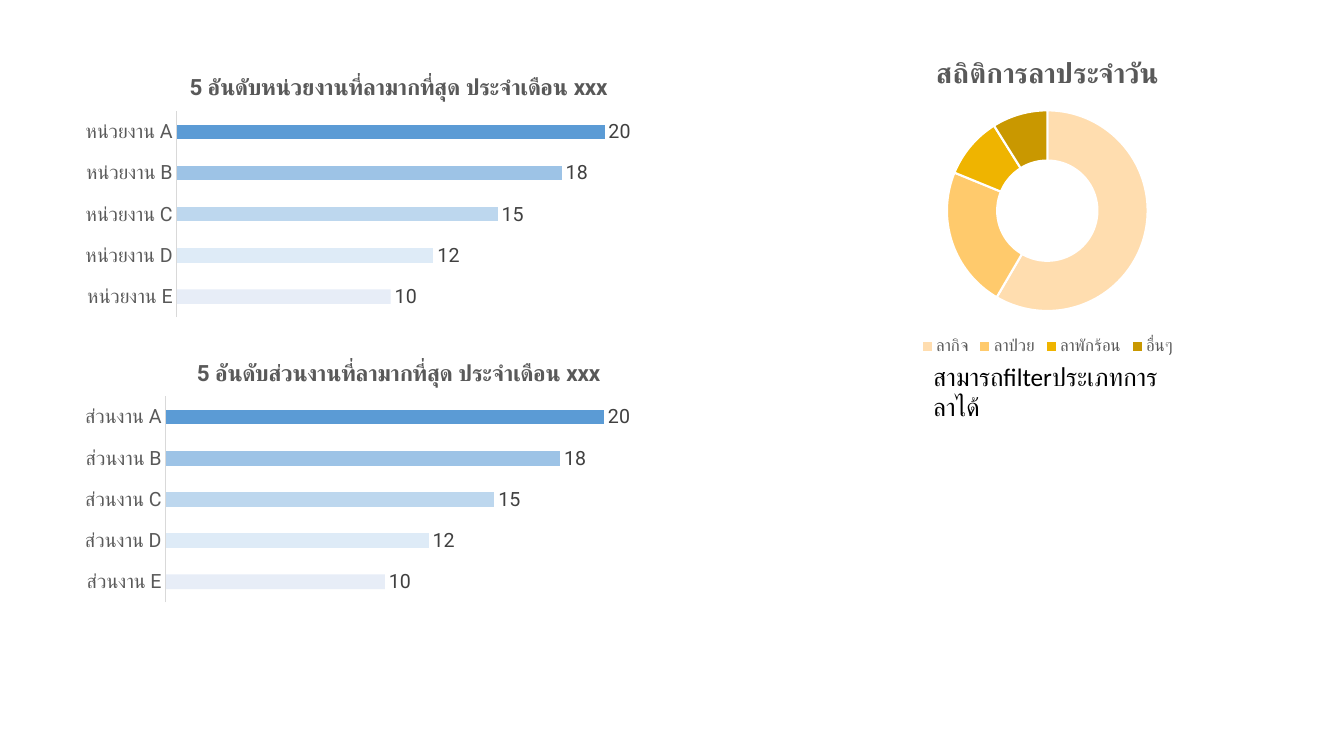
"""Build a slide of leave statistics: two bar charts, a doughnut and a note."""
from lxml.etree import SubElement
from pptx import Presentation
from pptx.chart.data import CategoryChartData
from pptx.dml.color import RGBColor
from pptx.enum.chart import XL_CHART_TYPE, XL_LABEL_POSITION, XL_LEGEND_POSITION, XL_TICK_MARK
from pptx.enum.text import MSO_AUTO_SIZE
from pptx.oxml import parse_xml
from pptx.oxml.ns import nsdecls, qn
from pptx.util import Pt

HUES = {
    "text": "595959", "label": "404040", "axis": "D9D9D9", "note": "000000", "edge": "FFFFFF",
    "bars": ["DAE3F3", "DEEBF7", "BDD7EE", "9DC3E6", "5B9BD5"],
    "ring": ["FFDDAF", "FFCA6C", "EFB400", "C99800"],
}


def style(font, face, size, hue, bold=False):
    """Format a font."""
    for key, val in {"name": face, "size": Pt(size), "bold": bold}.items():
        setattr(font, key, val)
    font.color.rgb = RGBColor.from_string(HUES[hue])


def draw(kind, box, names, vals, title, look, hues, area):
    """Add a chart with its title, point colours and plot area."""
    data = CategoryChartData()
    data.categories = names
    data.add_series("Series 1", vals)
    chart = slide.shapes.add_chart(kind, *map(Pt, box), data).chart
    chart.has_title = True
    head = chart.chart_title
    head.include_in_layout = False
    run = head.text_frame.paragraphs[0].add_run()
    run.text = title
    style(run.font, *look, "text", True)
    for spot, hue in enumerate(hues):
        fill = chart.plots[0].series[0].points[spot].format.fill
        fill.solid()
        fill.fore_color.rgb = RGBColor.from_string(hue)
    sides = "".join(f'<c:{tag} val="{val}"/>' for tag, val in zip("xywh", area))
    plot = chart.element.find(".//" + qn("c:plotArea"))
    for old in plot.findall(qn("c:layout")):
        plot.remove(old)
    plot.insert(0, parse_xml(
        f'<c:layout {nsdecls("c")}><c:manualLayout><c:layoutTarget val="inner"/>'
        f'<c:xMode val="edge"/><c:yMode val="edge"/>{sides}</c:manualLayout></c:layout>'))
    return chart


deck = Presentation()
deck.slide_width, deck.slide_height = Pt(960), Pt(540)
slide = deck.slides.add_slide(deck.slide_layouts[6])

for unit, top, left in [("หน่วยงาน", 41.8, 0.16), ("ส่วนงาน", 245.5, 0.143)]:
    chart = draw(
        XL_CHART_TYPE.BAR_CLUSTERED, (51.8, top, 465.8, 188.6),
        [f"{unit} {mark}" for mark in "EDCBA"], [10, 12, 15, 18, 20],
        f"5 อันดับ{unit}ที่ลามากที่สุด ประจำเดือน xxx", ("Roboto", 16),
        HUES["bars"], (left, 0.2, round(0.98 - left, 2), 0.78))
    chart.has_legend = False
    plot = chart.plots[0]
    for key, val in {"gap_width": 182, "vary_by_categories": False, "has_data_labels": True}.items():
        setattr(plot, key, val)
    tags = plot.data_labels
    for key, val in {"show_value": True, "position": XL_LABEL_POSITION.OUTSIDE_END}.items():
        setattr(tags, key, val)
    style(tags.font, "Roboto", 14, "label")
    axis = chart.value_axis
    for key, val in {"minimum_scale": 0, "maximum_scale": 25,
                     "has_major_gridlines": False, "visible": False}.items():
        setattr(axis, key, val)
    axis = chart.category_axis
    for key in ("major_tick_mark", "minor_tick_mark"):
        setattr(axis, key, XL_TICK_MARK.NONE)
    style(axis.tick_labels.font, "Roboto", 14, "text")
    axis.format.line.width = Pt(0.75)
    axis.format.line.color.rgb = RGBColor.from_string(HUES["axis"])
    tint = chart.element.find(".//" + qn("c:dPt")).find(".//" + qn("a:srgbClr"))
    SubElement(tint, qn("a:alpha"), val="63000")

chart = draw(
    XL_CHART_TYPE.DOUGHNUT, (576, 28.8, 344.2, 227.5),
    ["ลากิจ", "ลาป่วย", "ลาพักร้อน", "อื่นๆ"], [59, 23, 10, 9],
    "สถิติการลาประจำวัน", ("Calibri", 20), HUES["ring"], (0.29, 0.22, 0.42, 0.63))
chart.element.find(".//" + qn("c:holeSize")).set("val", "75")
for spot in range(4):
    edge = chart.plots[0].series[0].points[spot].format.line
    edge.width = Pt(1.5)
    edge.color.rgb = RGBColor.from_string(HUES["edge"])
chart.has_legend = True
for key, val in {"position": XL_LEGEND_POSITION.BOTTOM, "include_in_layout": False}.items():
    setattr(chart.legend, key, val)
style(chart.legend.font, "Calibri", 12, "text")

frame = slide.shapes.add_textbox(Pt(659.5), Pt(254.2), Pt(176.4), Pt(28.8)).text_frame
for key, val in {"word_wrap": True, "auto_size": MSO_AUTO_SIZE.SHAPE_TO_FIT_TEXT}.items():
    setattr(frame, key, val)
run = frame.paragraphs[0].add_run()
run.text = "สามารถfilterประเภทการลาได้"
style(run.font, "Calibri", 18, "note")

deck.save("out.pptx")
